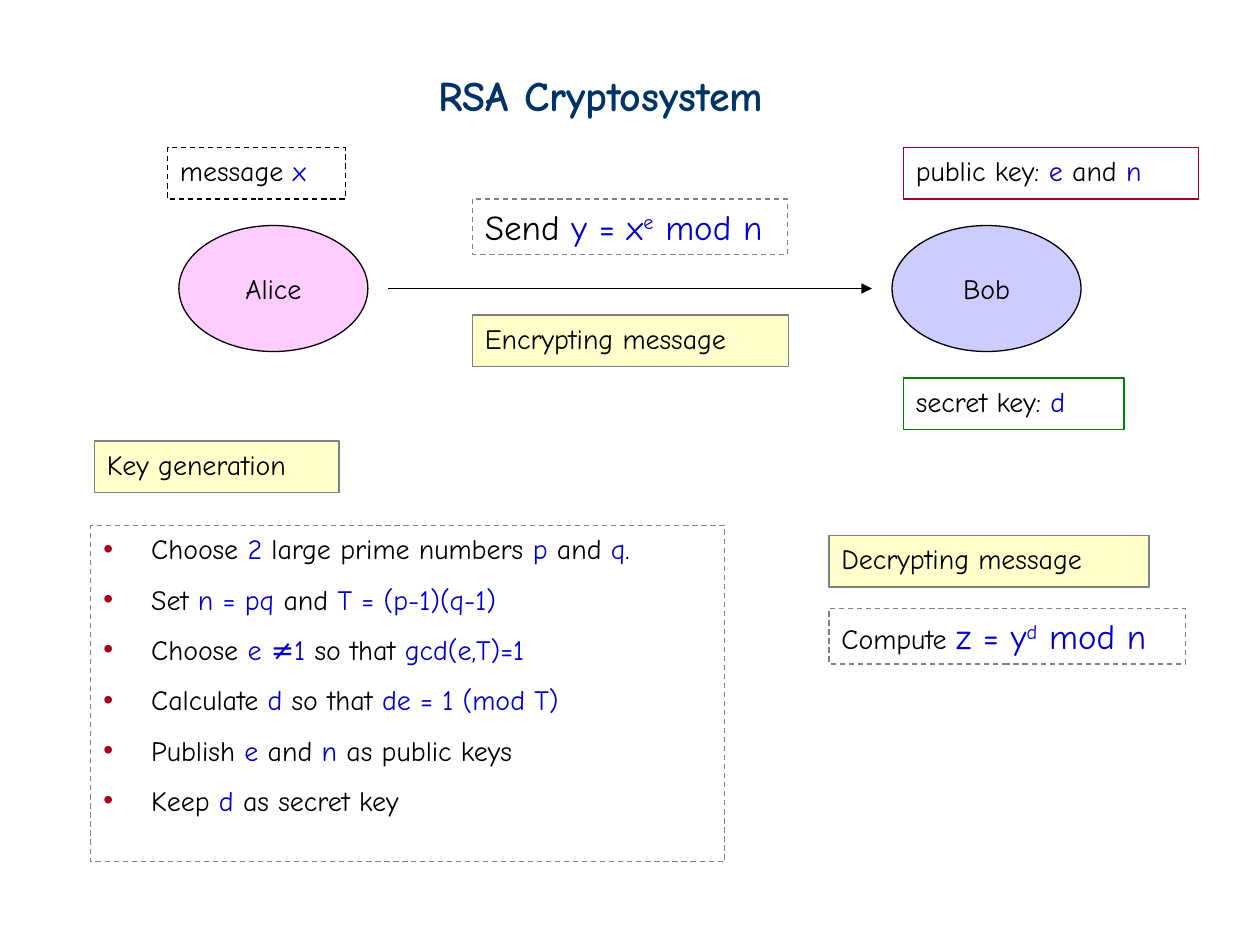
from dataclasses import dataclass
from typing import Optional

from lxml.etree import SubElement
from pptx import Presentation
from pptx.dml.color import RGBColor
from pptx.enum.dml import MSO_LINE
from pptx.enum.shapes import MSO_CONNECTOR, MSO_SHAPE
from pptx.enum.text import MSO_ANCHOR, MSO_AUTO_SIZE, PP_ALIGN
from pptx.oxml.ns import qn
from pptx.util import Inches, Pt

FONT = "Comic Neue"
BLACK = RGBColor(0, 0, 0)
BLUE = RGBColor(0x00, 0x00, 0xCC)
NAVY = RGBColor(0x00, 0x33, 0x66)
RED = RGBColor(0xA5, 0x00, 0x21)
GREEN = RGBColor(0x00, 0x80, 0x00)
GRAY = RGBColor(0x80, 0x80, 0x80)
PINK = RGBColor(0xFF, 0xCC, 0xFF)
LILAC = RGBColor(0xCC, 0xCC, 0xFF)
CREAM = RGBColor(0xFF, 0xFF, 0xCC)


@dataclass
class Party:
    name: str
    left: float
    fill: RGBColor


@dataclass
class Label:
    text: str
    left: float
    top: float
    width: float
    height: float = 0.41
    line: RGBColor = GRAY
    fill: Optional[RGBColor] = None
    dash: bool = False
    size: int = 16
    math: int = 16


PARTIES = [Party("Alice", 1.42, PINK), Party("Bob", 7.08, LILAC)]

# Bars enclose formulas; carets enclose exponents.
LABELS = [
    Label("public key: |e| and |n", 7.17, 1.17, 2.34, line=RED),
    Label("secret key: |d", 7.17, 3, 1.75, line=GREEN),
    Label("message |x", 1.33, 1.17, 1.41, line=BLACK, dash=True),
    Label("Send |y = x^e^ mod n", 3.75, 1.58, 2.5, 0.44, dash=True, size=20, math=20),
    Label("Compute |z = y^d^ mod n", 6.58, 4.83, 2.83, 0.44, dash=True, math=20),
    Label("Key generation", 0.75, 3.5, 1.94, fill=CREAM),
    Label("Encrypting message", 3.75, 2.5, 2.51, fill=CREAM),
    Label("Decrypting message", 6.58, 4.25, 2.54, fill=CREAM),
]

STEPS = [
    "Choose |2| large prime numbers |p| and |q|.",
    "Set |n = pq| and |T = (p-1)(q-1)",
    "Choose |e ≠1| so that |gcd(e,T)=1",
    "Calculate |d| so that |de = 1 (mod T)",
    "Publish |e| and |n| as public keys",
    "Keep |d| as secret key",
]


def place(shape, left: float, top: float, width: float, height: float) -> None:
    shape.left, shape.top = Inches(left), Inches(top)
    shape.width, shape.height = Inches(width), Inches(height)


def style(run, size: int, color: RGBColor, bold: bool = False) -> None:
    run.font.name = FONT
    run.font.size = Pt(size)
    run.font.color.rgb = color
    run.font.bold = bold


def write(para, text: str, size: int = 16, math: int = 16) -> None:
    for i, part in enumerate(text.split("|")):
        for j, piece in enumerate(part.split("^")):
            run = para.add_run()
            run.text = piece
            style(run, math if i % 2 else size, BLUE if i % 2 else BLACK)
            if j % 2:
                run.font._element.set("baseline", "30000")


def frame(shape, anchor=MSO_ANCHOR.TOP):
    text = shape.text_frame
    text.word_wrap = True
    text.auto_size = MSO_AUTO_SIZE.NONE
    text.vertical_anchor = anchor
    return text


def border(shape, color: RGBColor, dash: bool = False) -> None:
    shape.line.color.rgb = color
    shape.line.width = Pt(0.75)
    if dash:
        shape.line.dash_style = MSO_LINE.DASH


def add_party(slide, party: Party) -> None:
    oval = slide.shapes.add_shape(
        MSO_SHAPE.OVAL, Inches(party.left), Inches(1.79), Inches(1.5), Inches(1))
    oval.shadow.inherit = False
    oval.fill.solid()
    oval.fill.fore_color.rgb = party.fill
    border(oval, BLACK)
    para = frame(oval, MSO_ANCHOR.MIDDLE).paragraphs[0]
    para.alignment = PP_ALIGN.CENTER
    write(para, party.name)


def add_label(slide, label: Label) -> None:
    box = slide.shapes.add_shape(
        MSO_SHAPE.RECTANGLE, Inches(label.left), Inches(label.top),
        Inches(label.width), Inches(label.height))
    box.shadow.inherit = False
    if label.fill is None:
        box.fill.background()
    else:
        box.fill.solid()
        box.fill.fore_color.rgb = label.fill
    border(box, label.line, label.dash)
    para = frame(box).paragraphs[0]
    para.alignment = PP_ALIGN.LEFT
    write(para, label.text, label.size, label.math)


def add_arrow(slide) -> None:
    arrow = slide.shapes.add_connector(
        MSO_CONNECTOR.STRAIGHT, Inches(3.08), Inches(2.29), Inches(6.92), Inches(2.29))
    border(arrow, BLACK)
    SubElement(arrow.line._get_or_add_ln(), qn("a:tailEnd"), type="triangle")
    SubElement(arrow._element.spPr, qn("a:effectLst"))


def add_bullet(para) -> None:
    props = para._p.get_or_add_pPr()
    props.set("marL", str(Inches(0.38)))
    props.set("indent", str(Inches(-0.38)))
    color = SubElement(props, qn("a:buClr"))
    SubElement(color, qn("a:srgbClr"), val=str(RED))
    SubElement(props, qn("a:buChar"), char="•")


def fill_title(title) -> None:
    place(title, 3.38, 0.5, 3.2, 0.5)
    text = frame(title)
    text.text = "RSA Cryptosystem"
    para = text.paragraphs[0]
    para.alignment = PP_ALIGN.LEFT
    style(para.runs[0], 24, NAVY, True)


def fill_steps(body) -> None:
    place(body, 0.72, 4.17, 5.03, 2.67)
    border(body, GRAY, True)
    text = frame(body)
    for i, step in enumerate(STEPS):
        para = text.add_paragraph() if i else text.paragraphs[0]
        add_bullet(para)
        para.space_before = Pt(0)
        para.line_spacing = 1.5 if i else 1.0
        write(para, step)


def main() -> None:
    deck = Presentation()
    deck.slide_width, deck.slide_height = Inches(10), Inches(7.5)
    slide = deck.slides.add_slide(deck.slide_layouts[1])
    fill_title(slide.shapes.title)
    fill_steps(slide.placeholders[1])
    for party in PARTIES:
        add_party(slide, party)
    add_arrow(slide)
    for label in LABELS:
        add_label(slide, label)
    deck.save("out.pptx")


if __name__ == "__main__":
    main()
